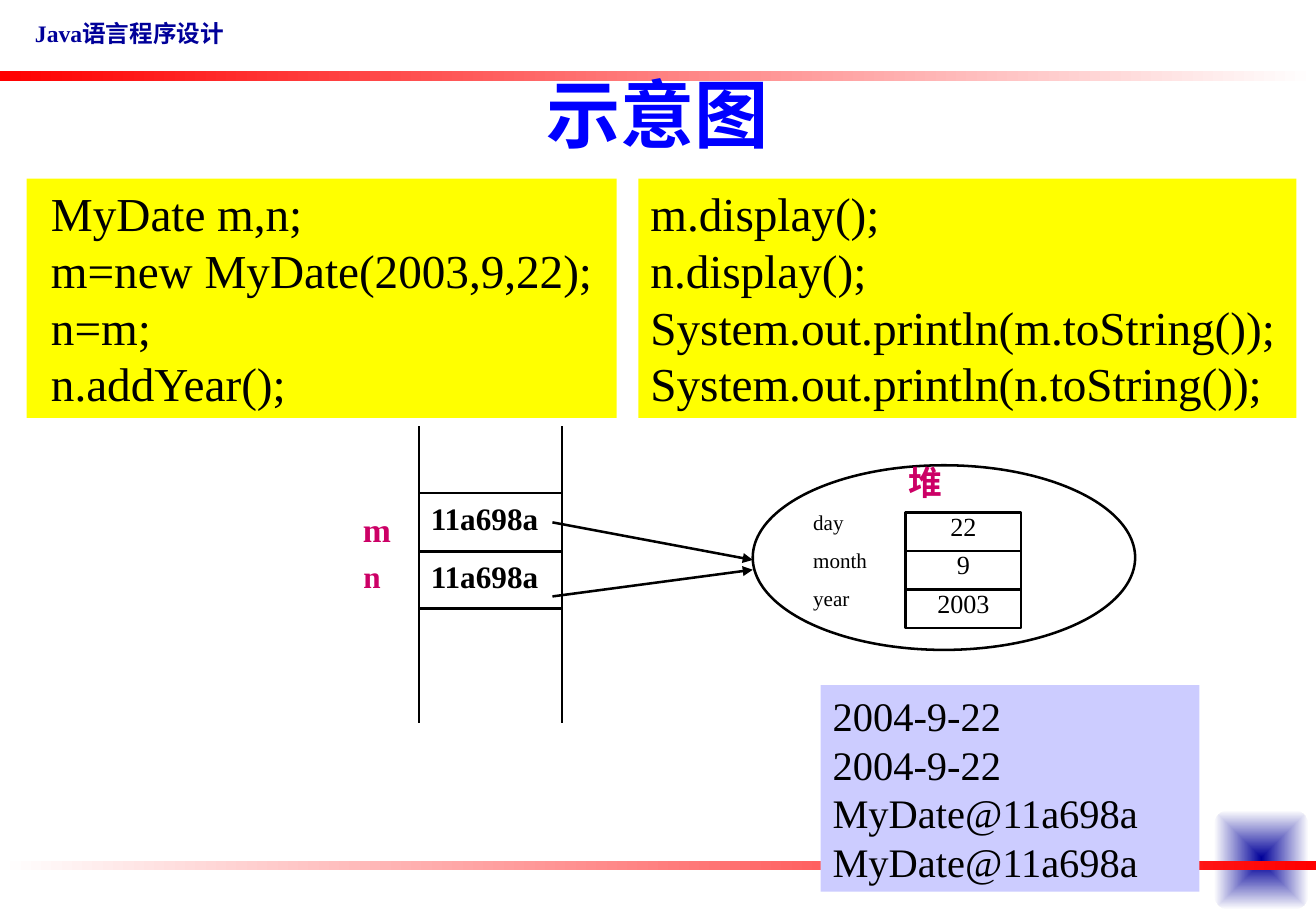
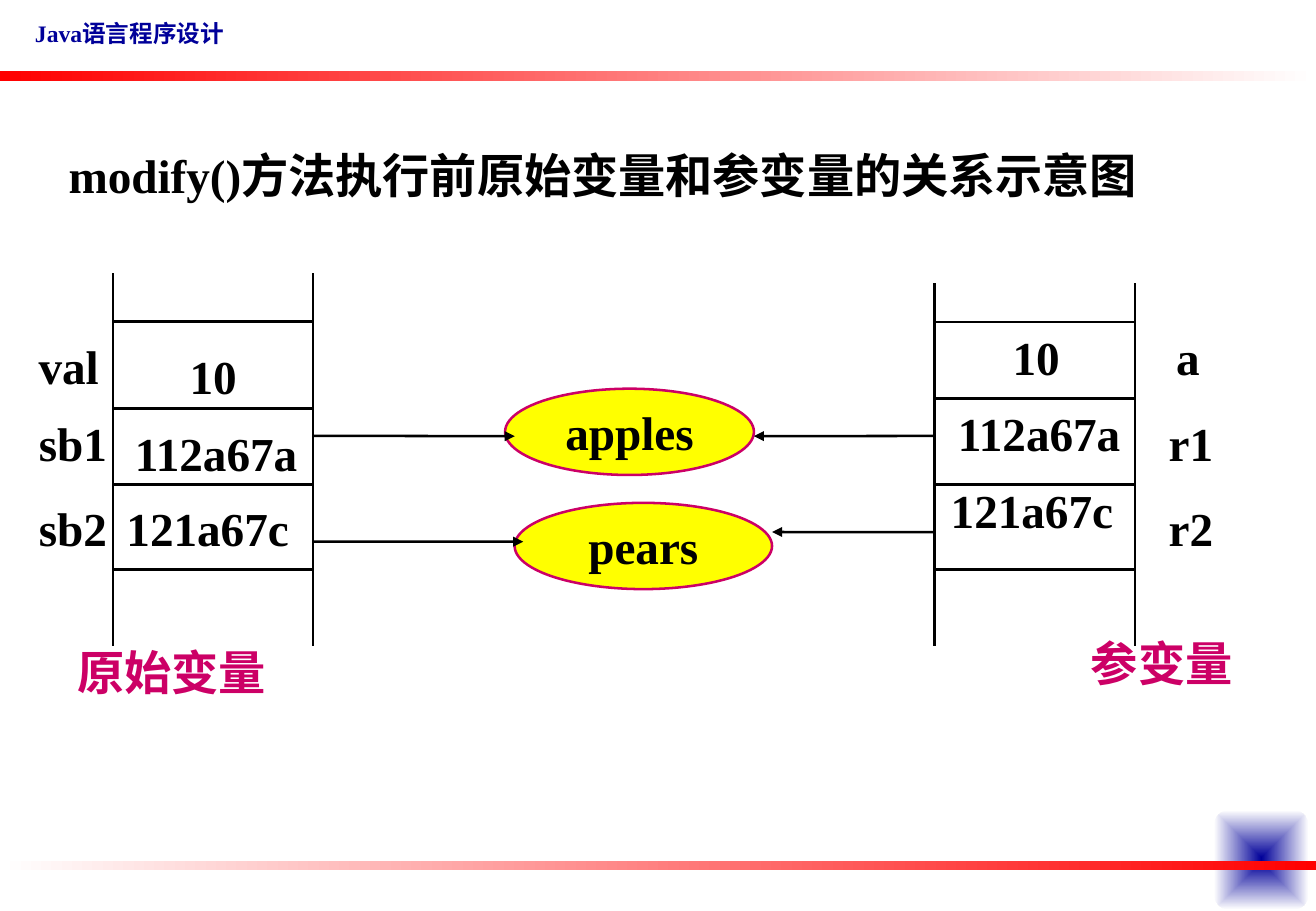
from typing import NamedTuple

from lxml import etree
from pptx import Presentation
from pptx import util as u
from pptx.dml.color import RGBColor
from pptx.enum import shapes, text
from pptx.oxml.ns import qn

COLORS = {
    "ink": "000000", "paper": "FFFFFF", "navy": "000099", "band": "FF0000",
    "title": "0000FF", "accent": "CC0066", "code": "FFFF00", "output": "CCCCFF",
}
LATIN, CHINESE = "Times New Roman", "Noto Sans CJK SC"
LINE_WIDTH = 1.5
SHAPE = shapes.MSO_SHAPE
LEFT, CENTER = text.PP_ALIGN.LEFT, text.PP_ALIGN.CENTER
TOP, MIDDLE = text.MSO_ANCHOR.TOP, text.MSO_ANCHOR.MIDDLE


class Box(NamedTuple):
    """A region in inches; its areas and points are given in percent of it."""
    left: float
    top: float
    width: float
    height: float

    def point(self, x, y):
        return self.left + self.width * x / 100, self.top + self.height * y / 100

    def area(self, x, y, width, height):
        return Box(*self.point(x, y), self.width * width / 100, self.height * height / 100)

    def emu(self):
        return [u.Inches(length) for length in self]


PAGE = Box(0, 0, 10.84, 7.5)


def rgb(name):
    return RGBColor.from_string(COLORS[name])


def write(shape, lines, size, color="ink", bold=False, align=LEFT, anchor=TOP,
          font=LATIN, wrap=True):
    frame = shape.text_frame
    frame.word_wrap = wrap
    frame.vertical_anchor = anchor
    for number, line in enumerate(lines):
        para = frame.paragraphs[0] if number == 0 else frame.add_paragraph()
        para.alignment = align
        span = para.add_run()
        span.text = line
        span.font.size = u.Pt(size)
        span.font.bold = bold
        span.font.color.rgb = rgb(color)
        span.font.name = font
        etree.SubElement(span.font._element, qn("a:ea"), typeface=CHINESE)
    return frame


def add_text(page, box, words, size, **style):
    return write(page.shapes.add_textbox(*box.emu()), [words], size, **style)


def add_figure(page, kind, box, fill=None, line=None):
    figure = page.shapes.add_shape(kind, *box.emu())
    figure.shadow.inherit = False
    if fill:
        figure.fill.solid()
        figure.fill.fore_color.rgb = rgb(fill)
    if line:
        figure.line.color.rgb = rgb(line)
        figure.line.width = u.Pt(LINE_WIDTH)
    else:
        figure.line.fill.background()
    return figure


def add_gradient(page, kind, box, first, last, from_center=False):
    figure = add_figure(page, kind, box)
    figure.fill.gradient()
    figure.fill.gradient_angle = 0
    for stop, color, position in zip(figure.fill.gradient_stops, (first, last), (0, 1)):
        stop.color.rgb = rgb(color)
        stop.position = position
    if from_center:
        direction = next(figure._element.spPr.iter(qn("a:lin")))
        rays = etree.Element(qn("a:path"), {"path": "rect"})
        etree.SubElement(rays, qn("a:fillToRect"),
                         {side: "50000" for side in "ltrb"})
        direction.getparent().replace(direction, rays)


def add_line(page, start, end, arrow=False):
    ends = [u.Inches(length) for length in (*start, *end)]
    line = page.shapes.add_connector(shapes.MSO_CONNECTOR.STRAIGHT, *ends)
    line.line.color.rgb = rgb("ink")
    line.line.width = u.Pt(LINE_WIDTH)
    if arrow:
        etree.SubElement(line.line._ln, qn("a:tailEnd"), type="triangle")
    etree.SubElement(line._element.spPr, qn("a:effectLst"))


def add_page(deck):
    """Add a blank slide with the corner square, the bands and the course name."""
    page = deck.slides.add_slide(deck.slide_layouts[6])
    add_gradient(page, SHAPE.ROUNDED_RECTANGLE, PAGE.area(92.25, 88.93, 7.2, 10.93),
                 "navy", "paper", from_center=True)
    add_gradient(page, SHAPE.RECTANGLE, PAGE.area(0, 7.8, 100, 1.07), "band", "paper")
    add_gradient(page, SHAPE.RECTANGLE, PAGE.area(0, 94.47, 100, 1.07), "paper", "band")
    add_text(page, PAGE.area(1.75, 1.47, 25, 4.53), "Java语言程序设计", 14,
             color="navy", bold=True)
    return page


def add_panel(page, box, lines, size, fill, anchor=TOP, indent=0.1):
    panel = add_figure(page, SHAPE.RECTANGLE, box, fill)
    write(panel, lines, size, anchor=anchor).margin_left = u.Inches(indent)


def add_stack(page, box, dividers):
    """Draw memory cells between two open sides."""
    for x in (0, 100):
        add_line(page, box.point(x, 0), box.point(x, 100))
    for y in dividers:
        add_line(page, box.point(0, y), box.point(100, y))


def add_entries(page, box, entries, size, color="ink"):
    """Write each (words, centre, top) in bold, placed in percent of the box."""
    for words, center, top in entries:
        add_text(page, box.area(center - 60, top, 120, 18), words, size, color=color,
                 bold=True, align=CENTER, wrap=False)


def add_heap(page, box, fields):
    add_figure(page, SHAPE.OVAL, box, "paper", "ink")
    pitch = 20.8
    for row, (name, value) in enumerate(fields):
        cell = add_figure(page, SHAPE.RECTANGLE,
                          box.area(40, 25.66 + row * pitch, 30.16, 21), "paper", "ink")
        frame = write(cell, [value], 15.5, align=CENTER, anchor=MIDDLE)
        frame.margin_top, frame.margin_bottom = 0, u.Inches(0.1)
        add_text(page, box.area(12.7, 20.4 + row * pitch, 27, 21), name, 12.5)
    add_entries(page, box, [("堆", 45.1, -5.3)], 20, "accent")


def add_object(page, box, words):
    oval = add_figure(page, SHAPE.OVAL, box, "code", "accent")
    write(oval, [words], 28, bold=True, align=CENTER, anchor=MIDDLE, wrap=False)


def reference_slide(deck):
    page = add_page(deck)
    add_text(page, PAGE.area(5, 4, 90, 16.67), "示意图", 44, color="title", bold=True,
             align=CENTER, anchor=MIDDLE, font=CHINESE)
    stack = PAGE.area(31.83, 46.8, 10.89, 32.53)
    heap = PAGE.area(57.2, 51.07, 29.06, 20.27)
    add_stack(page, stack, (22.5, 42.2, 61.5))
    add_entries(page, stack, [("m", -29.2, 25.8)], 20, "accent")
    add_entries(page, stack, [("n", -32.6, 42.2)], 18.5, "accent")
    add_entries(page, stack, [("11a698a", 45.8, top) for top in (22.5, 42.2)], 18.5)
    add_heap(page, heap, (("day", "22"), ("month", "9"), ("year", "2003")))
    for start, end in ((32.4, 51.3), (57.4, 56.6)):
        add_line(page, stack.point(93.2, start), heap.point(0, end), arrow=True)
    add_panel(page, PAGE.area(2.03, 19.6, 44.83, 26.27),
              ("MyDate m,n;", "m=new MyDate(2003,9,22);", "n=m;", "n.addYear();"),
              28, "code", indent=0.2)
    add_panel(page, PAGE.area(48.52, 19.6, 50, 26.27),
              ("m.display();", "n.display();", "System.out.println(m.toString());",
               "System.out.println(n.toString());"), 28, "code")
    add_panel(page, PAGE.area(62.36, 75.2, 28.78, 22.67),
              ("2004-9-22",) * 2 + ("MyDate@11a698a",) * 2, 24, "output", MIDDLE)


def parameter_slide(deck):
    page = add_page(deck)
    add_text(page, PAGE.area(4.3, 15.33, 86.5, 7.6),
             "modify()方法执行前原始变量和参变量的关系示意图", 28, bold=True, anchor=MIDDLE)
    apples = PAGE.area(38.38, 42.67, 18.91, 9.47)
    pears = PAGE.area(39.11, 55.2, 19.56, 9.47)
    add_object(page, apples, "apples")
    add_object(page, pears, "pears")

    originals = PAGE.area(8.58, 30, 15.22, 40.93)
    add_stack(page, originals, (13, 36.2, 56.7, 79.5))
    add_entries(page, originals, (
        ("val", -22.1, 15.6), ("sb1", -20, 36.2), ("sb2", -20, 59),
        ("10", 50, 18.2), ("112a67a", 51.5, 38.8), ("121a67c", 47.3, 59)), 28)
    add_entries(page, originals, [("原始变量", 29.4, 97.7)], 28, "accent")

    parameters = PAGE.area(71.03, 31.07, 15.22, 39.87)
    add_stack(page, parameters, (10.7, 31.8, 55.5, 78.9))
    add_entries(page, parameters, (
        ("a", 126.4, 10.7), ("r1", 127.9, 34.4), ("r2", 127.9, 57.9),
        ("10", 50.6, 10.7), ("112a67a", 52.1, 31.8), ("121a67c", 48.5, 52.8)), 28)
    add_entries(page, parameters, [("参变量", 113.3, 95)], 28, "accent")

    for start, end in (
            (originals.point(100, 43.6), apples.point(3.9, 55)),
            (originals.point(100, 72), pears.point(3.3, 45)),
            (parameters.point(0, 42.1), apples.point(100, 55)),
            (parameters.point(0, 68.6), pears.point(100, 33.8))):
        add_line(page, start, end, arrow=True)


def main():
    deck = Presentation()
    deck.slide_width, deck.slide_height = u.Inches(PAGE.width), u.Inches(PAGE.height)
    reference_slide(deck)
    parameter_slide(deck)
    deck.save("out.pptx")


if __name__ == "__main__":
    main()
